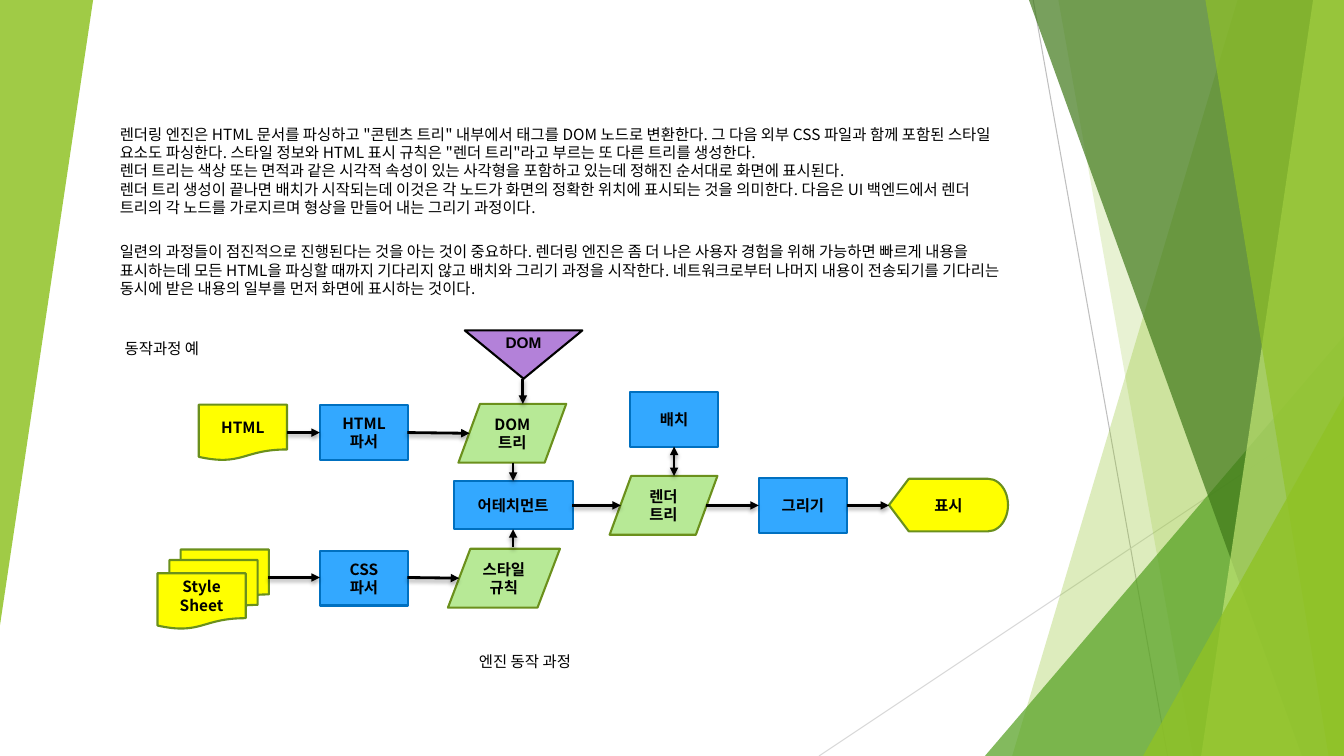
"""Builds a slide on how a browser rendering engine works, with its flow chart."""
from lxml import etree
from pptx import Presentation
from pptx.dml.color import RGBColor
from pptx.enum.shapes import MSO_CONNECTOR, MSO_SHAPE
from pptx.enum.text import MSO_ANCHOR, PP_ALIGN
from pptx.oxml import parse_xml
from pptx.oxml.ns import nsdecls, qn
from pptx.util import Pt

STRAIGHT = MSO_CONNECTOR.STRAIGHT
TRIANGLE = MSO_SHAPE.ISOSCELES_TRIANGLE
DOCUMENT = MSO_SHAPE.FLOWCHART_DOCUMENT
PROCESS = MSO_SHAPE.FLOWCHART_PROCESS
MERGE = MSO_SHAPE.FLOWCHART_MERGE
DATA = MSO_SHAPE.FLOWCHART_DATA
DISPLAY = MSO_SHAPE.FLOWCHART_DISPLAY
CENTER, MIDDLE = PP_ALIGN.CENTER, MSO_ANCHOR.MIDDLE
KOREAN = "Noto Sans CJK KR"
WIDTH, HEIGHT = 960, 540


def paint(fill, colour, opacity=100):
    fill.solid()
    fill.fore_color.rgb = RGBColor.from_string(colour)
    if opacity < 100:
        tint = fill._xPr.find(qn("a:solidFill"))[0]
        etree.SubElement(tint, qn("a:alpha"), val=str(opacity * 1000))


def draw_line(start, end, colour, width):
    line = slide.shapes.add_connector(STRAIGHT, *map(Pt, start + end))
    paint(line.line.fill, colour)
    line.line.width = Pt(width)
    properties = line._element.spPr
    return properties, etree.SubElement(properties, qn("a:effectLst"))


deck = Presentation()
deck.slide_width, deck.slide_height = Pt(WIDTH), Pt(HEIGHT)
slide = deck.slides.add_slide(deck.slide_layouts[6])

draw_line((738, 0), (834, HEIGHT), "BFBFBF", 0.75)
draw_line((WIDTH, 290), (585, HEIGHT), "D9D9D9", 0.75)

facets = [
    ((884, 723), "90C226", 30),
    ((756, 852), "90C226", 20),
    ((703.5, 240, 256.5, 300), "54A021", 72),
    ((735, 930), "3F7819", 70),
    ((938, 858), "C0E474", 70),
    ((861, 949), "90C226", 65),
    ((816.5, 283, 143.5, 257), "90C226", 80),
    ((0, 0, 66.5, 446.5), "90C226", 85),
]
for outline, colour, opacity in facets:
    if len(outline) == 2:
        top_x, bottom_x = outline
        builder = slide.shapes.build_freeform(Pt(top_x), 0)
        corners = [(WIDTH, 0), (WIDTH, HEIGHT), (bottom_x, HEIGHT)]
        builder.add_line_segments([(Pt(x), Pt(y)) for x, y in corners])
        facet = builder.convert_to_shape()
    else:
        facet = slide.shapes.add_shape(TRIANGLE, *map(Pt, outline))
        facet.adjustments[0] = 1
        facet.rotation = 180 if outline[0] == 0 else 0
    paint(facet.fill, colour, opacity)
    facet.line.fill.background()
    facet.shadow.inherit = False

explanation = [
    "렌더링 엔진은 HTML 문서를 파싱하고 \"콘텐츠 트리\" 내부에서 태그를 DOM 노드로 변환한다. "
    "그 다음 외부 CSS 파일과 함께 포함된 스타일 요소도 파싱한다. "
    "스타일 정보와 HTML 표시 규칙은 \"렌더 트리\"라고 부르는 또 다른 트리를 생성한다.\v"
    "렌더 트리는 색상 또는 면적과 같은 시각적 속성이 있는 사각형을 포함하고 있는데 "
    "정해진 순서대로 화면에 표시된다.\v"
    "렌더 트리 생성이 끝나면 배치가 시작되는데 이것은 각 노드가 화면의 정확한 위치에 "
    "표시되는 것을 의미한다. 다음은 UI 백엔드에서 렌더 트리의 각 노드를 가로지르며 "
    "형상을 만들어 내는 그리기 과정이다.",
    "일련의 과정들이 점진적으로 진행된다는 것을 아는 것이 중요하다. "
    "렌더링 엔진은 좀 더 나은 사용자 경험을 위해 가능하면 빠르게 내용을 표시하는데 "
    "모든 HTML을 파싱할 때까지 기다리지 않고 배치와 그리기 과정을 시작한다. "
    "네트워크로부터 나머지 내용이 전송되기를 기다리는 동시에 받은 내용의 일부를 "
    "먼저 화면에 표시하는 것이다.",
]
passages = [
    ((78.5, 85.5, 645, 136), explanation),
    ((82, 238.5, 84, 21.5), ["동작과정 예"]),
    ((335, 462, 99.5, 21.5), ["엔진 동작 과정"]),
]
for box, paragraphs in passages:
    frame = slide.shapes.add_textbox(*map(Pt, box)).text_frame
    frame.word_wrap = True
    frame.text = "\n".join(paragraphs)
    for paragraph in frame.paragraphs:
        paragraph.font.name, paragraph.font.size = KOREAN, Pt(11)
        paragraph.font.color.rgb = RGBColor.from_string("000000")
    for paragraph in frame.paragraphs[1:]:
        paragraph.space_before = Pt(18)

looks = {
    DOCUMENT: (63, 40, "FFFF00", "6B901C"),
    PROCESS: (63, 39, "33A8FF", "0070C0"),
    MERGE: (84, 34.5, "B381D9", "000000"),
    DATA: (77, 42, "B7E996", "6B901C"),
    DISPLAY: (85, 37.5, "FFFF00", "6B901C"),
}
steps = [
    (DOCUMENT, 142, 289, "HTML"),
    (PROCESS, 228.5, 289.5, "HTML 파서"),
    (MERGE, 332, 236, "DOM"),
    (DATA, 327.5, 288.5, "DOM\n트리"),
    (DISPLAY, 635, 342, "표시"),
    (PROCESS, 228.5, 393.5, "CSS\n파서"),
    (DOCUMENT, 129, 392.5, ""),
    (DOCUMENT, 121, 400, ""),
    (DOCUMENT, 112.5, 409.5, "Style\nSheet"),
    (PROCESS, 324, 343.5, "어테치먼트"),
    (PROCESS, 450, 280, "배치"),
    (PROCESS, 542, 341.5, "그리기"),
    (DATA, 320, 392, "스타일\n규칙"),
    (DATA, 435.5, 340, "렌더\n트리"),
]
sizes = {"어테치먼트": (85, 34.5), "스타일\n규칙": (80, 42)}
for kind, left, top, label in steps:
    width, height, colour, edge = looks[kind]
    width, height = sizes.get(label, (width, height))
    step = slide.shapes.add_shape(kind, Pt(left), Pt(top), Pt(width), Pt(height))
    paint(step.fill, colour)
    paint(step.line.fill, edge)
    step.line.width = Pt(1.5)
    step.shadow.inherit = False
    if label:
        step.text_frame.text = label
        step.text_frame.vertical_anchor = MIDDLE
    for paragraph in step.text_frame.paragraphs if label else []:
        paragraph.alignment = CENTER
        paragraph.font.name = "Arial" if kind == MERGE else KOREAN
        paragraph.font.size, paragraph.font.bold = Pt(11), True
        paragraph.font.color.rgb = RGBColor.from_string("000000")

arrows = [
    ((205, 309), (228.5, 309)),
    ((291, 309), (335.5, 309.5)),
    ((191.5, 412.5), (228.5, 412.5)),
    ((291, 412.5), (328, 413)),
    ((373.5, 270.5), (373.5, 288.5)),
    ((366.5, 330.5), (366.5, 343.5)),
    ((366.5, 390.5), (366.5, 378)),
    ((408.5, 361), (443.5, 361)),
    ((504.5, 361), (542, 361)),
    ((605, 361), (635, 361)),
    ((481.5, 319), (481.5, 340)),
]
for start, end in arrows:
    properties, effects = draw_line(start, end, "000000", 2)
    outline = properties.find(qn("a:ln"))
    if (start, end) == arrows[-1]:
        etree.SubElement(outline, qn("a:headEnd"), type="triangle")
    etree.SubElement(outline, qn("a:tailEnd"), type="triangle")
    effects.append(parse_xml(
        f'<a:outerShdw {nsdecls("a")} blurRad="{Pt(3)}" dist="{Pt(2)}" dir="5400000">'
        '<a:srgbClr val="000000"><a:alpha val="35000"/></a:srgbClr></a:outerShdw>'))

deck.save("out.pptx")
